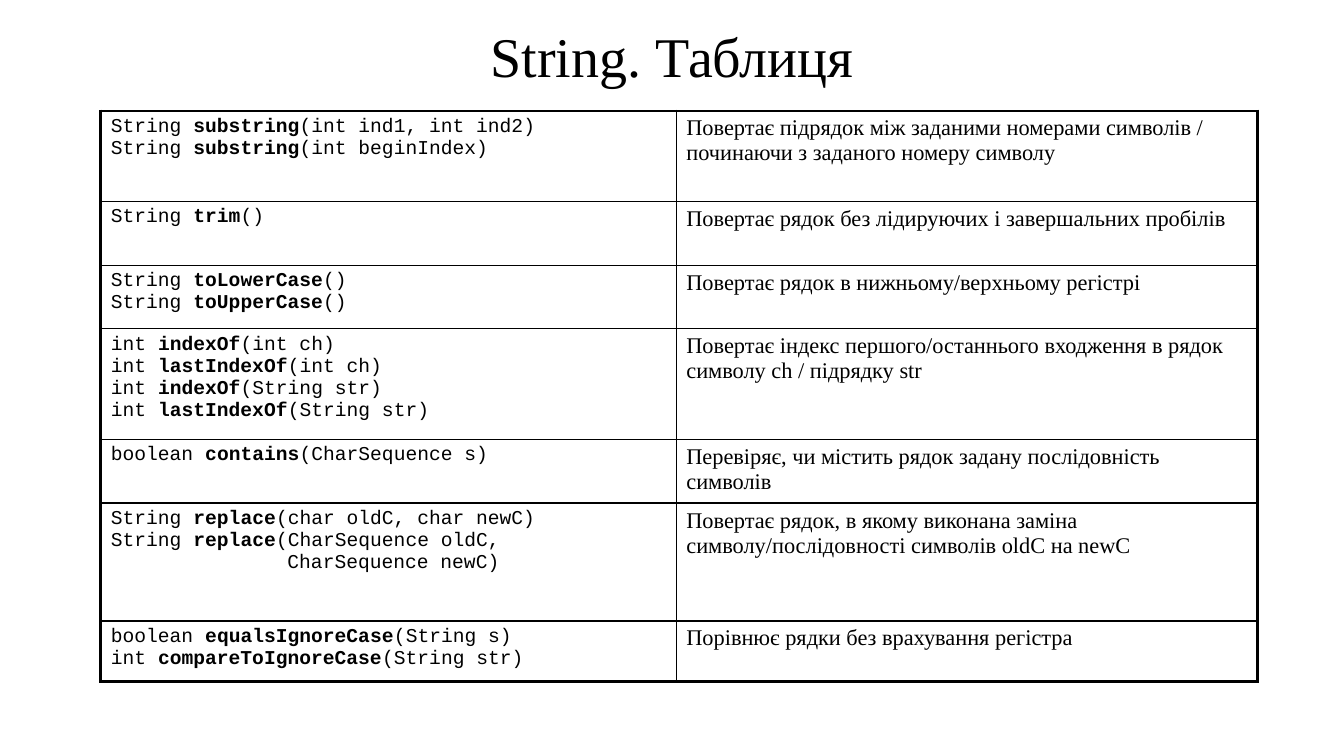
from dataclasses import dataclass

from lxml import etree
from pptx import Presentation
from pptx import util as u
from pptx.dml.color import RGBColor
from pptx.enum import text
from pptx.oxml import ns


@dataclass(frozen=True)
class Theme:
    ink: str = "000000"
    serif: str = "Times New Roman"
    mono: str = "Courier New"
    title: float = 40
    body: float = 16
    code: float = 14
    thin: float = 1
    thick: float = 2.25


THEME = Theme()
WIDTH, HEIGHT = 960, 540
COLS = (411.1, 415.4)
ROWS = (
    (64.8, "String *substring*(int ind1, int ind2)\nString *substring*(int beginIndex)",
     "Повертає підрядок між заданими номерами символів / починаючи з заданого номеру символу"),
    (45.4, "String *trim*()",
     "Повертає рядок без лідируючих і завершальних пробілів"),
    (45.4, "String *toLowerCase*()\nString *toUpperCase*()",
     "Повертає рядок в нижньому/верхньому регістрі"),
    (79.2, "int *indexOf*(int ch)\nint *lastIndexOf*(int ch)\n"
           "int *indexOf*(String str)\nint *lastIndexOf*(String str)",
     "Повертає індекс першого/останнього входження в рядок символу ch / підрядку str"),
    (45.4, "boolean *contains*(CharSequence s)",
     "Перевіряє, чи містить рядок задану послідовність символів"),
    (84.2, "String *replace*(char oldC, char newC)\nString *replace*(CharSequence oldC,\n"
           "               CharSequence newC)",
     "Повертає рядок, в якому виконана заміна символу/послідовності символів oldC на newC"),
    (43.2, "boolean *equalsIgnoreCase*(String s)\nint *compareToIgnoreCase*(String str)",
     "Порівнює рядки без врахування регістра"),
)


def set_font(para, name, size):
    para.font.name = name
    para.font.size = u.Pt(size)
    para.font.color.rgb = RGBColor.from_string(THEME.ink)


def add_title(slide, words):
    box = slide.shapes.add_textbox(u.Pt(0), u.Pt(11.5), u.Pt(WIDTH), u.Pt(55.4))
    box.text_frame.word_wrap = True
    para = box.text_frame.paragraphs[0]
    para.text = words
    para.alignment = text.PP_ALIGN.CENTER
    set_font(para, THEME.serif, THEME.title)


def add_code(cell, code):
    para = cell.text_frame.paragraphs[0]
    for num, line in enumerate(code.split("\n")):
        if num:
            para.add_line_break()
        for part, words in enumerate(line.split("*")):
            run = para.add_run()
            run.text = words
            if part % 2:
                run.font.bold = True
    set_font(para, THEME.mono, THEME.code)


def add_prose(cell, words):
    para = cell.text_frame.paragraphs[0]
    para.text = words
    set_font(para, THEME.serif, THEME.body)


def set_sides(cell, row, col):
    outer = {"L": col == 0, "R": col == len(COLS) - 1,
             "T": row == 0, "B": row == len(ROWS) - 1}
    props = cell._tc.get_or_add_tcPr()
    for side, edge in outer.items():
        width = THEME.thick if edge else THEME.thin
        line = etree.SubElement(props, ns.qn(f"a:ln{side}"), w=str(u.Pt(width)))
        fill = etree.SubElement(line, ns.qn("a:solidFill"))
        etree.SubElement(fill, ns.qn("a:srgbClr"), val=THEME.ink)
    cell.fill.background()


def add_grid(slide):
    high = sum(row[0] for row in ROWS)
    frame = slide.shapes.add_table(len(ROWS), len(COLS), u.Pt(72), u.Pt(79.2),
                                   u.Pt(sum(COLS)), u.Pt(high))
    grid = frame.table
    grid.first_row = grid.horz_banding = False
    for col, width in enumerate(COLS):
        grid.columns[col].width = u.Pt(width)
    for row, (tall, code, prose) in enumerate(ROWS):
        grid.rows[row].height = u.Pt(tall)
        add_code(grid.cell(row, 0), code)
        add_prose(grid.cell(row, 1), prose)
        for col in range(len(COLS)):
            set_sides(grid.cell(row, col), row, col)


def main():
    deck = Presentation()
    deck.slide_width, deck.slide_height = u.Pt(WIDTH), u.Pt(HEIGHT)
    slide = deck.slides.add_slide(deck.slide_layouts[6])
    add_grid(slide)
    add_title(slide, "String. Таблиця")
    deck.save("out.pptx")


if __name__ == "__main__":
    main()
